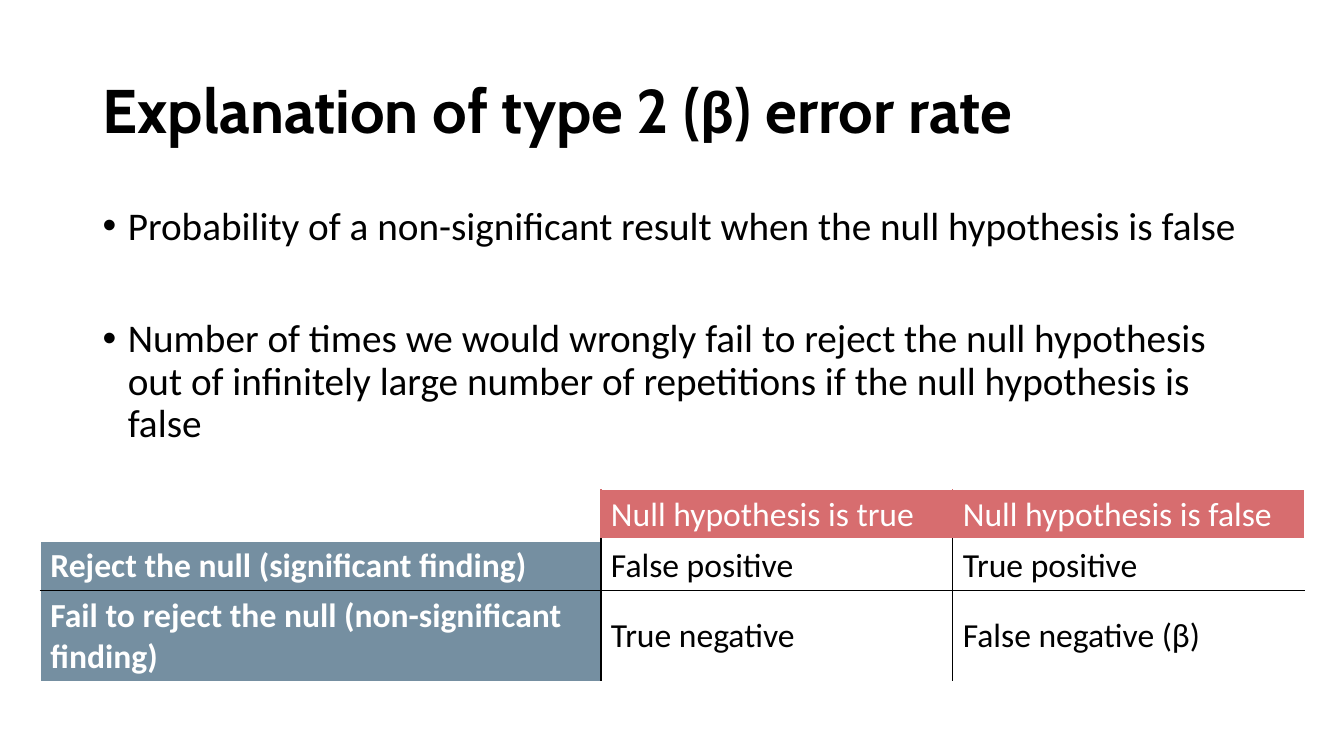
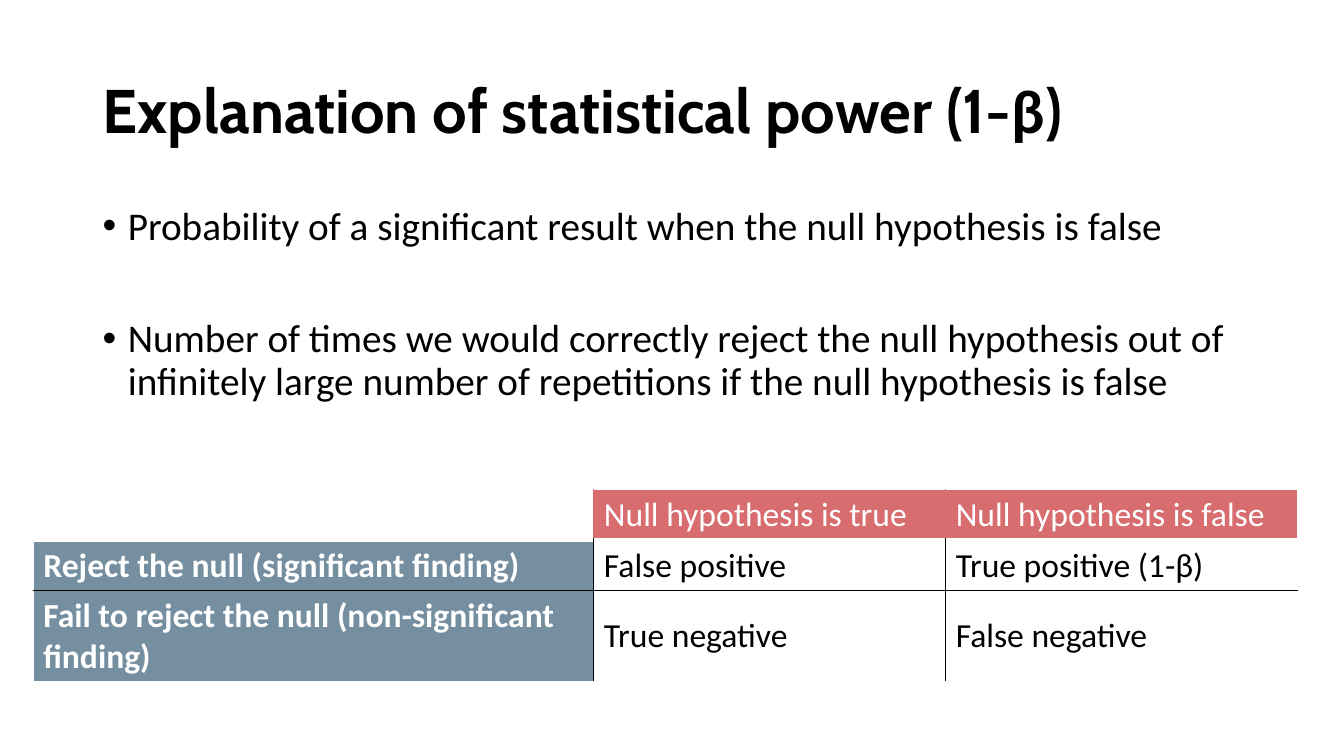
from pptx import Presentation
from pptx.dml.color import RGBColor
from pptx.enum.text import MSO_ANCHOR as Anchor
from pptx.oxml.ns import qn
from pptx.util import Inches, Pt
from lxml.etree import SubElement as Sub

BLACK, WHITE, RED, SLATE = "000000", "FFFFFF", "D76D6F", "758FA1"
HEADS = ["", "Null hypothesis is true", "Null hypothesis is false"]
LABELS = ["Reject the null (significant finding)",
          "Fail to reject the null (non-significant finding)"]
WIDTHS = [5.56, 3.49, 3.49]
HEIGHTS = [0.5, 0.5, 0.9]

SLIDES = [
    dict(title="Explanation of type 2 (β) error rate",
         points=["Probability of a non-significant result when the null hypothesis is false",
                 "Number of times we would wrongly fail to reject the null hypothesis out of "
                 "infinitely large number of repetitions if the null hypothesis is false"],
         left=0.4,
         cells=[["False positive", "True positive"],
                ["True negative", "False negative (β)"]]),
    dict(title="Explanation of statistical power (1-β)",
         points=["Probability of a significant result when the null hypothesis is false",
                 "Number of times we would correctly reject the null hypothesis out of "
                 "infinitely large number of repetitions if the null hypothesis is false"],
         left=0.33,
         cells=[["False positive", "True positive (1-β)"],
                ["True negative", "False negative"]]),
]


def write(para, words, size=24, font="Calibri", color=BLACK, bold=False):
    """Add one formatted run to a paragraph."""
    run = para.add_run()
    run.text = words
    run.font.size = Pt(size)
    run.font.name = font
    run.font.bold = bold
    run.font.color.rgb = RGBColor.from_string(color)


def edge(cell, side, color, width=1):
    """Draw one border of a cell; call in the order L, R, T, B, before the fill."""
    line = Sub(cell._tc.get_or_add_tcPr(), qn("a:ln" + side), w=str(Pt(width)))
    Sub(Sub(line, qn("a:solidFill")), qn("a:srgbClr"), val=color)


deck = Presentation()
deck.slide_width, deck.slide_height = Inches(13.33), Inches(7.5)

for page in SLIDES:
    slide = deck.slides.add_slide(deck.slide_layouts[6])

    title = slide.shapes.add_textbox(Inches(0.92), Inches(0.4), Inches(11.5), Inches(1.45))
    frame = title.text_frame
    frame.word_wrap = True
    frame.vertical_anchor = Anchor.MIDDLE
    para = frame.paragraphs[0]
    para.line_spacing = 0.9
    for part in page["title"].partition("β"):
        font = "Calibri" if part == "β" else "Cabin"
        write(para, part, size=44, font=font, bold=True)

    body = slide.shapes.add_textbox(Inches(0.92), Inches(2), Inches(11.5), Inches(2.7))
    frame = body.text_frame
    frame.word_wrap = True
    for i, point in enumerate(page["points"]):
        para = frame.add_paragraph() if i else frame.paragraphs[0]
        props = para._p.get_or_add_pPr()
        props.set("marL", str(Inches(0.25)))
        props.set("indent", str(Inches(-0.25)))
        Sub(props, qn("a:buFont"), typeface="Arial")
        Sub(props, qn("a:buChar"), char="•")
        para.line_spacing = 0.9
        para.space_before = Pt(50 if i else 0)
        write(para, point, size=28)

    table = slide.shapes.add_table(3, 3, Inches(page["left"]), Inches(4.86),
                                   Inches(sum(WIDTHS)), Inches(sum(HEIGHTS))).table
    table.first_row = table.horz_banding = False
    for col, width in zip(table.columns, WIDTHS):
        col.width = Inches(width)
    for row, height in zip(table.rows, HEIGHTS):
        row.height = Inches(height)

    rows = [HEADS] + [[label] + cells for label, cells in zip(LABELS, page["cells"])]
    for r, row in enumerate(rows):
        for c, words in enumerate(row):
            cell = table.cell(r, c)
            head, label = r == 0, c == 0
            fill = WHITE if head and label else RED if head else SLATE if label else WHITE
            rim = fill if head else BLACK
            edge(cell, "L", WHITE if label else rim)
            edge(cell, "R", WHITE if c == 2 else rim)
            edge(cell, "T", BLACK if r == 2 else WHITE, 3 if r == 1 else 1)
            edge(cell, "B", BLACK if r == 1 else WHITE, 3 if head else 1)
            cell.fill.solid()
            cell.fill.fore_color.rgb = RGBColor.from_string(fill)
            cell.vertical_anchor = Anchor.TOP if head or label else Anchor.MIDDLE
            if words:
                write(cell.text_frame.paragraphs[0], words,
                      color=WHITE if head or label else BLACK, bold=label)

deck.save("out.pptx")
